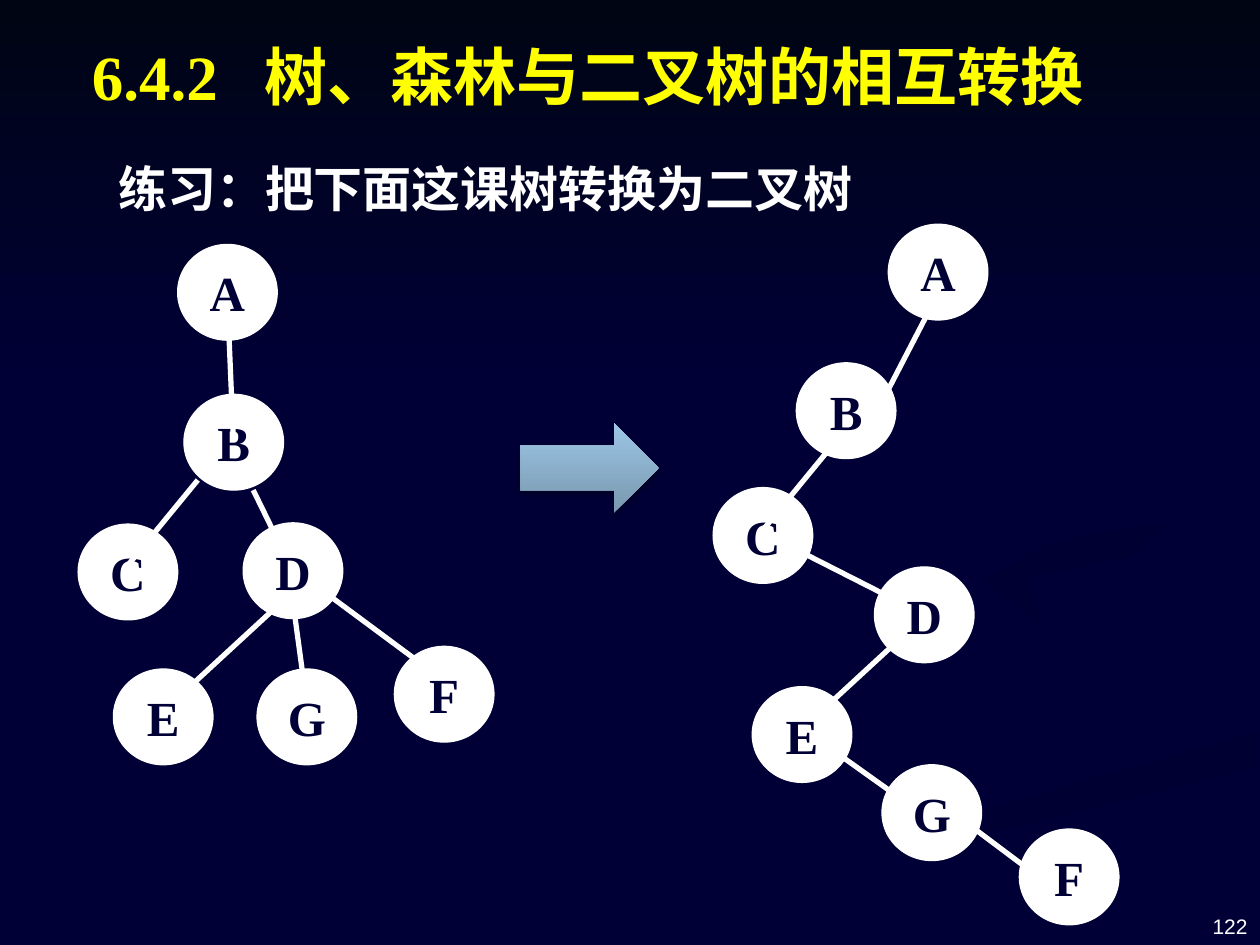
"""Build a slide that turns a general tree into a binary tree."""
from lxml import etree
from pptx import Presentation
from pptx.dml.color import RGBColor
from pptx.enum.shapes import MSO_CONNECTOR, MSO_SHAPE
from pptx.enum.text import MSO_ANCHOR, PP_ALIGN
from pptx.oxml.ns import qn
from pptx.util import Inches, Pt

STRAIGHT = MSO_CONNECTOR.STRAIGHT
OVAL, RIGHT_ARROW = MSO_SHAPE.OVAL, MSO_SHAPE.RIGHT_ARROW
TOP, MIDDLE, BOTTOM = MSO_ANCHOR.TOP, MSO_ANCHOR.MIDDLE, MSO_ANCHOR.BOTTOM
LEFT, CENTER, RIGHT = PP_ALIGN.LEFT, PP_ALIGN.CENTER, PP_ALIGN.RIGHT
COLORS = {
    "navy": "000036", "dark": "000032", "night": "000514",
    "white": "FFFFFF", "yellow": "FFFF00", "steel": "7998AF", "sky": "9CC6E6",
}
SERIF = "Times New Roman"
NODE_WIDTH, NODE_HEIGHT = Inches(0.79), Inches(0.76)


def write(shape, text, size, color, align, anchor, bold=True, font=SERIF):
    frame = shape.text_frame
    frame.word_wrap = False
    frame.vertical_anchor = anchor
    paragraph = frame.paragraphs[0]
    paragraph.alignment = align
    run = paragraph.add_run()
    run.text = text
    run.font.name, run.font.size, run.font.bold = font, Pt(size), bold
    run.font.color.rgb = RGBColor.from_string(COLORS[color])
    return paragraph


def fill_gradient(shape, start, end, angle):
    shape.shadow.inherit = False
    shape.line.fill.background()
    shape.fill.gradient()
    shape.fill.gradient_angle = angle
    for stop, color in zip(shape.fill.gradient_stops, (start, end)):
        stop.color.rgb = RGBColor.from_string(COLORS[color])


presentation = Presentation()
presentation.slide_width, presentation.slide_height = Inches(10), Inches(7.5)
slide = presentation.slides.add_slide(presentation.slide_layouts[5])
shapes = slide.shapes
slide.background.fill.solid()
slide.background.fill.fore_color.rgb = RGBColor.from_string(COLORS["navy"])

backdrop = [
    ("dark", 270, [(5.03, 7.49), (7.64, 6.47), (9.98, 5.81), (9.98, 6.09),
                   (7.85, 6.61), (5.71, 7.49)]),
    ("dark", 315, [(7.81, 4.6), (8.26, 4.96), (8.16, 4.59), (9.98, 4.2),
                   (9.98, 4.02), (8.35, 4.3)]),
    ("night", 270, [(0, 0), (0, 3.08), (10, 3.08), (10, 0)]),
]
for start, angle, points in backdrop:
    corners = [(Inches(x), Inches(y)) for x, y in points]
    builder = shapes.build_freeform(*corners[0])
    builder.add_line_segments(corners[1:], close=True)
    fill_gradient(builder.convert_to_shape(), start, "navy", angle)

title = shapes.title
title.element.getparent().append(title.element)
title.left, title.top = Inches(0.63), Inches(0.25)
title.width, title.height = Inches(8.15), Inches(0.71)
paragraph = write(title, "6.4.2\t树、森林与二叉树的相互转换", 36, "yellow", LEFT, TOP)
tabs = etree.SubElement(paragraph._p.get_or_add_pPr(), qn("a:tabLst"))
etree.SubElement(tabs, qn("a:tab"), pos=str(Inches(1.37)), algn="l")

exercise = shapes.add_textbox(Inches(0.84), Inches(1.21), Inches(6.12), Inches(0.57))
write(exercise, "练习：把下面这课树转换为二叉树", 28, "white", LEFT, TOP)
number = shapes.add_textbox(Inches(7.67), Inches(6.98), Inches(2.33), Inches(0.52))
write(number, "122", 12, "white", RIGHT, BOTTOM, False, "Arial")

layers = [
    ([(2.32, 4.7, 1.3, 5.64), (2.51, 4.65, 3.63, 5.48), (2.32, 4.74, 2.43, 5.55)],
     [("A", 1.41, 1.94), ("B", 1.46, 3.13), ("C", 0.62, 4.16), ("D", 1.93, 4.15),
      ("E", 0.9, 5.31), ("F", 3.13, 5.13), ("G", 2.04, 5.31)]),
    ([(1.81, 2.49, 1.85, 3.44), (1.57, 3.81, 1.02, 4.48), (2.01, 3.89, 2.24, 4.36),
      (7.43, 6.35, 8.55, 7.19), (6.45, 5.84, 7.46, 6.56)],
     [("A", 7.05, 1.78), ("B", 6.32, 2.88), ("C", 5.66, 3.87), ("F", 8.09, 6.58),
      ("G", 7, 6.07)]),
    ([(7.45, 2.32, 6.87, 3.44), (7.11, 5.1, 6.09, 6.04), (6.61, 3.53, 6.06, 4.2),
      (6.1, 4.25, 7.34, 4.88)],
     [("D", 6.94, 4.5), ("E", 5.97, 5.45)]),
]
for edges, nodes in layers:
    for edge in edges:
        connector = shapes.add_connector(STRAIGHT, *[Inches(value) for value in edge])
        connector.line.color.rgb = RGBColor.from_string(COLORS["white"])
        connector.line.width = Pt(3)
        etree.SubElement(connector._element.spPr, qn("a:effectLst"))
    for letter, left, top in nodes:
        node = shapes.add_shape(OVAL, Inches(left), Inches(top), NODE_WIDTH, NODE_HEIGHT)
        node.shadow.inherit = False
        node.fill.solid()
        node.fill.fore_color.rgb = RGBColor.from_string(COLORS["white"])
        node.line.color.rgb = RGBColor.from_string(COLORS["white"])
        node.line.width = Pt(0.75)
        node.text_frame.margin_top = node.text_frame.margin_bottom = 0
        write(node, letter, 28, "navy", CENTER, MIDDLE)

arrow = shapes.add_shape(RIGHT_ARROW, Inches(4.13), Inches(3.36), Inches(1.1), Inches(0.71))
fill_gradient(arrow, "steel", "sky", 90)
effects = arrow._element.spPr.find(qn("a:effectLst"))
shadow = etree.SubElement(effects, qn("a:outerShdw"), blurRad=str(Pt(3.1)),
                          dist=str(Pt(1.8)), dir="5400000", rotWithShape="0")
shadow_color = etree.SubElement(shadow, qn("a:srgbClr"), val="000000")
etree.SubElement(shadow_color, qn("a:alpha"), val="35000")

presentation.save("out.pptx")
